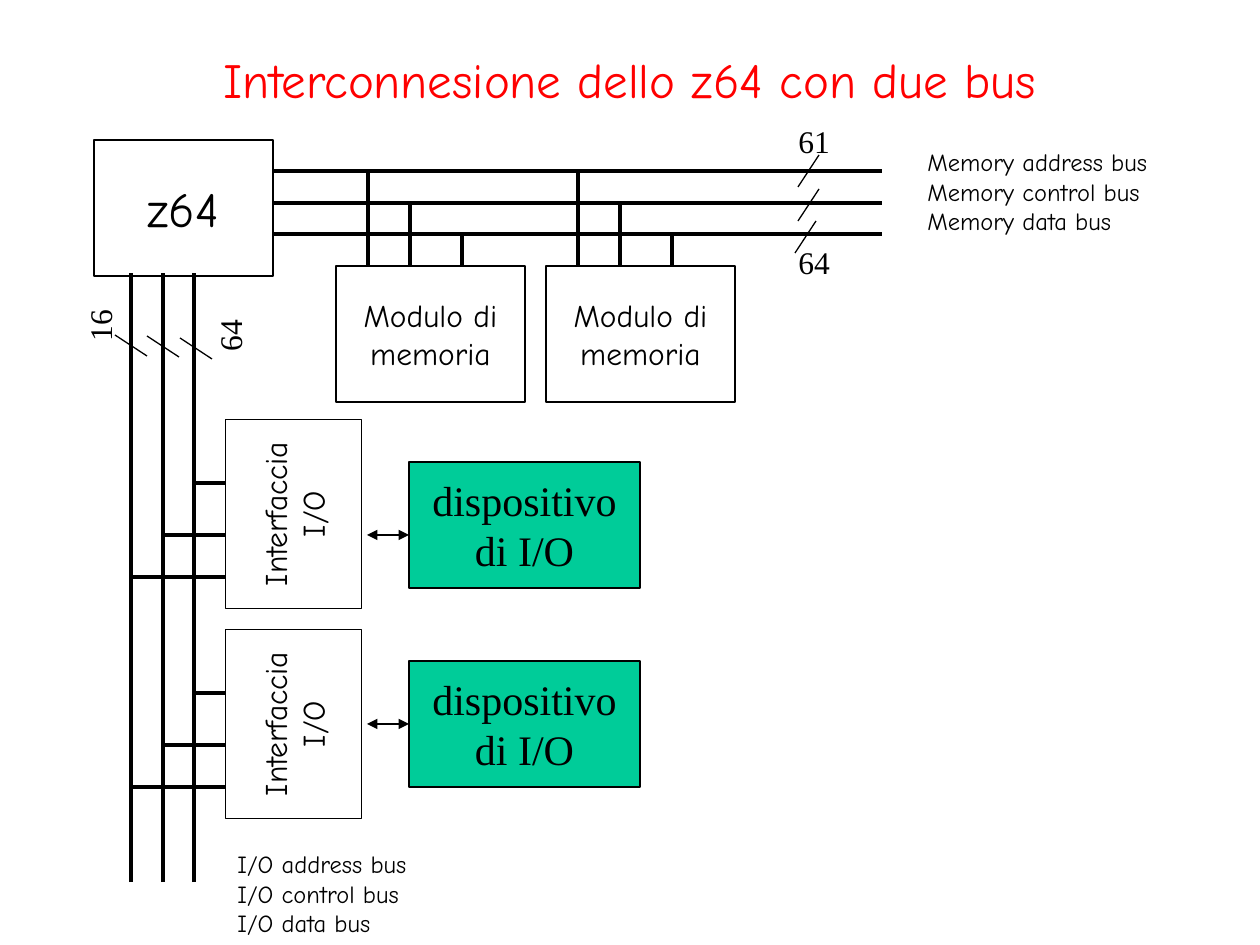
import pptx
import pptx.util
import pptx.dml.color
import pptx.enum.shapes
import pptx.enum.text
import lxml.etree
import pptx.oxml.ns

PX = 914400 / 126
SANS, SERIF = "Comic Neue", "Times New Roman"
THICK, THIN = 2.25, 0.75
rgb = pptx.dml.color.RGBColor.from_string
qn = pptx.oxml.ns.qn
ALIGN = pptx.enum.text.PP_ALIGN
ANCHOR = pptx.enum.text.MSO_ANCHOR
RECT = pptx.enum.shapes.MSO_SHAPE.RECTANGLE
STRAIGHT = pptx.enum.shapes.MSO_CONNECTOR.STRAIGHT


def px(*values):
    """Convert pixel lengths to a list of EMU."""
    return [pptx.util.Emu(round(v * PX)) for v in values]


def write(sp, text, font=SANS, size=18, color="000000", align=ALIGN.CENTER,
          anchor=ANCHOR.MIDDLE, wrap=False):
    tf = sp.text_frame
    tf.auto_size = pptx.enum.text.MSO_AUTO_SIZE.NONE
    tf.word_wrap = wrap
    tf.vertical_anchor = anchor
    tf.text = text
    for p in tf.paragraphs:
        p.alignment = align
        p.font.name = font
        p.font.size = pptx.util.Pt(size)
        p.font.color.rgb = rgb(color)


prs = pptx.Presentation()
prs.slide_width, prs.slide_height = px(1260, 945)
s = prs.slides.add_slide(prs.slide_layouts[5])

title = s.shapes.title
title.left, title.top, title.width, title.height = px(94, 0, 1071, 158)
write(title, "Interconnesione dello z64 con due bus", size=28, color="FF0000", wrap=True)

# Lines: x1, y1, x2, y2, width
memory_bus_y = [171, 203, 234]
io_bus_x = [131, 163, 194]
memory_x = [336, 546]
interface_y = [420, 630]
lines = [(273, y, 882, y, THICK) for y in memory_bus_y]
lines += [(x, 882, x, 273, THICK) for x in io_bus_x]
for left in memory_x:
    for y, dx in zip(memory_bus_y, [32, 74, 126]):
        lines.append((left + dx, y, left + dx, 266, THICK))
for top in interface_y:
    for x, dy in zip(io_bus_x, [157, 115, 63]):
        lines.append((x, top + dy, 225, top + dy, THICK))
# Slashes marking the bus widths
lines += [(x, y, x - 21, y + 32, THIN) for x, y in [(819, 155), (819, 189), (816, 221)]]
lines += [(x, y, x + 32, y + 21, THIN) for x, y in [(115, 335), (147, 336), (180, 338)]]

# Boxes: text, left, top, width, height, rotation, fill, font, size
boxes = [("z64", 94, 140, 179, 136, 0, None, SANS, 28)]
boxes += [("Modulo di\nmemoria", x, 266, 189, 136, 0, None, SANS, 18) for x in memory_x]
boxes += [("Interfaccia\nI/O", 199, y + 26, 189, 136, 270, None, SANS, 18)
          for y in interface_y]
boxes += [("dispositivo\ndi I/O", 409, y, 231, 126, 0, "00CC99", SERIF, 24)
          for y in [462, 661]]
devices = []
for text, left, top, width, height, rotation, fill, font, size in boxes:
    sp = s.shapes.add_shape(RECT, *px(left, top, width, height))
    sp.shadow.inherit = False
    sp.rotation = rotation
    sp.line.color.rgb = rgb("000000")
    sp.line.width = pptx.util.Pt(THIN)
    if fill:
        sp.fill.solid()
        sp.fill.fore_color.rgb = rgb(fill)
        devices.append(sp)
    else:
        sp.fill.background()
    write(sp, text, font=font, size=size)

# Device arrows follow the plain lines; the second meets its device mid-side
arrows = [(367, 535, 409, 535, THIN), (367, 724, 409, 724, THIN)]
for line in lines + arrows:
    x1, y1, x2, y2, width = line
    c = s.shapes.add_connector(STRAIGHT, *px(x1, y1, x2, y2))
    c.line.color.rgb = rgb("000000")
    c.line.width = pptx.util.Pt(width)
    lxml.etree.SubElement(c._element.spPr, qn("a:effectLst"))
    if line in arrows:
        for end in ("a:headEnd", "a:tailEnd"):
            lxml.etree.SubElement(c.line._get_or_add_ln(), qn(end), type="triangle")
    if line == arrows[1]:
        c.end_connect(devices[1], 1)

# Labels: text, left, top, width, height, rotation, font, size
labels = [
    ("Memory address bus\nMemory control bus\nMemory data bus",
     915, 141, 246, 101, 0, SANS, 14),
    ("I/O address bus\nI/O control bus\nI/O data bus", 225, 843, 271, 101, 0, SANS, 14),
    ("61", 786, 116, 57, 50, 0, SERIF, 18),
    ("64", 786, 237, 57, 50, 0, SERIF, 18),
    ("16", 71, 300, 57, 50, 270, SERIF, 18),
    ("64", 201, 310, 57, 50, 270, SERIF, 18),
]
for text, left, top, width, height, rotation, font, size in labels:
    sp = s.shapes.add_textbox(*px(left, top, width, height))
    sp.rotation = rotation
    write(sp, text, font=font, size=size, align=ALIGN.LEFT, anchor=ANCHOR.TOP,
          wrap=text.startswith("I/O"))

prs.save("out.pptx")
